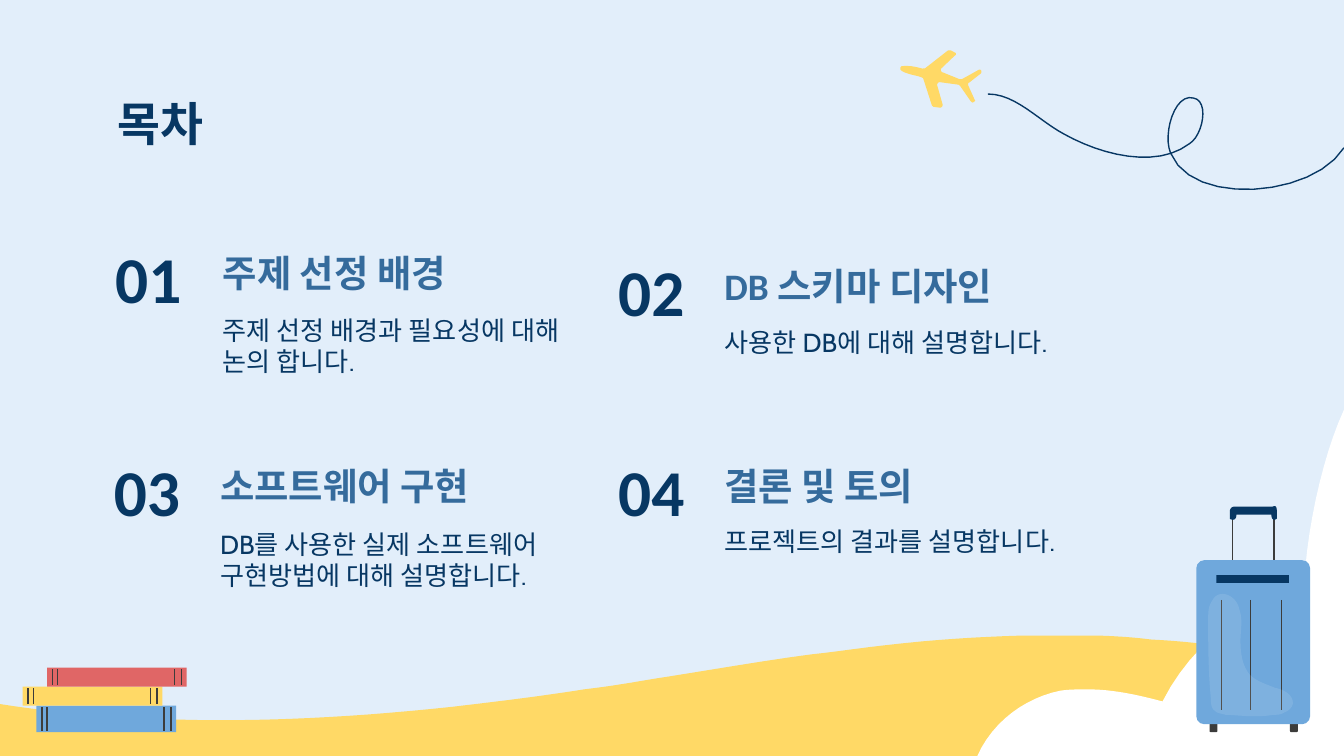
from lxml.etree import SubElement
from pptx import Presentation
from pptx.dml.color import RGBColor
from pptx.enum.shapes import MSO_CONNECTOR as Connector, MSO_SHAPE as Shape
from pptx.enum.text import MSO_ANCHOR as Anchor, MSO_AUTO_SIZE as AutoSize, PP_ALIGN as Align
from pptx.oxml.ns import qn
from pptx.util import Cm, Pt

SKY = RGBColor(0xE2, 0xEE, 0xFA)
NAVY = RGBColor(0x07, 0x37, 0x63)
STEEL = RGBColor(0x35, 0x6B, 0x9C)
BLUE = RGBColor(0x6F, 0xA8, 0xDC)
YELLOW = RGBColor(0xFF, 0xD9, 0x66)
RED = RGBColor(0xE0, 0x66, 0x66)
CHARCOAL = RGBColor(0x3C, 0x3C, 0x3B)
WHITE = RGBColor(0xFF, 0xFF, 0xFF)

INCH = 2.54
CURVE_STEPS = 12

TITLE = dict(size=Pt(25), name="Calibri", bold=True)
NUMBER = dict(size=Pt(35), name="Calibri", bold=True)
HEADING = dict(size=Pt(20), name="Calibri", bold=True)
DETAIL = dict(size=Pt(14), name="Cabin", bold=False)

TOPICS = [
    ("01", "주제 선정 배경", "주제 선정 배경과 필요성에 대해 논의 합니다.", 1.65, 3.96, 4.78, 5.69),
    ("02", "DB 스키마 디자인", "사용한 DB에 대해 설명합니다.", 11.18, 13.44, 5.03, 5.92),
    ("03", "소프트웨어 구현", "DB를 사용한 실제 소프트웨어 구현방법에 대해 설명합니다.", 1.65, 3.91, 8.81, 9.73),
    ("04", "결론 및 토의", "프로젝트의 결과를 설명합니다.", 11.18, 13.44, 8.81, 9.68),
]

BOOKS = [(0.69, 13.34, 0.5, BLUE), (0.43, 12.98, 0.36, YELLOW), (0.89, 12.62, 0.36, RED)]
SPINE_MARKS = [(0.1, 0.79), (0.2, 0.75), (2.41, 0.79), (2.54, 0.75)]

SAND = [
    (0, 5.24), (0.38, 5.3, 0.92, 5.36, 1.66, 5.36), (2.15, 5.36, 2.72, 5.33, 3.37, 5.26),
    (3.71, 5.22, 4.04, 5.18, 4.35, 5.13), (4.53, 5.11, 4.7, 5.08, 4.88, 5.05),
    (5.27, 4.99, 5.66, 4.92, 6.04, 4.87), (6.23, 4.85, 6.42, 4.82, 6.61, 4.8),
    (6.95, 4.76, 7.28, 4.74, 7.62, 4.73), (7.77, 4.73, 7.93, 4.73, 8.09, 4.73),
    (8.25, 4.73, 8.4, 4.74, 8.57, 4.76), (8.77, 4.77, 8.98, 4.79, 9.2, 4.83),
    (9.46, 4.88, 9.73, 4.94, 10, 5.01), (10, 5.63), (0, 5.63),
]
FOAM = [
    (10, 3.05), (10, 5.63), (7.27, 5.63), (7.39, 5.36, 7.64, 5.19, 7.89, 5.14),
    (7.96, 5.13, 8.03, 5.13, 8.09, 5.13), (8.28, 5.13, 8.46, 5.17, 8.65, 5.22),
    (8.88, 4.77, 9.28, 4.48, 9.7, 4.44), (9.71, 4, 9.83, 3.42, 10, 3.05),
]
GRIP = [
    (9.47, 3.77), (9.19, 3.77), (9.16, 3.77, 9.15, 3.79, 9.15, 3.81), (9.15, 3.86),
    (9.16, 3.87, 9.2, 3.88, 9.2, 3.83), (9.46, 3.83), (9.46, 3.88, 9.49, 3.87, 9.5, 3.86),
    (9.5, 3.8), (9.5, 3.77, 9.49, 3.76, 9.47, 3.77),
]
SHEEN = [
    (9.1, 4.42), (9.07, 4.42, 9.04, 4.43, 9.02, 4.47), (8.99, 4.51, 8.99, 4.56, 8.99, 4.6),
    (8.99, 4.8, 8.99, 5, 9.01, 5.2), (9.01, 5.23, 9.01, 5.27, 9.04, 5.29),
    (9.06, 5.31, 9.09, 5.31, 9.12, 5.32), (9.18, 5.32, 9.25, 5.33, 9.32, 5.33),
    (9.37, 5.33, 9.42, 5.33, 9.47, 5.32), (9.5, 5.32, 9.53, 5.32, 9.56, 5.3),
    (9.59, 5.29, 9.62, 5.26, 9.62, 5.23), (9.62, 5.17, 9.55, 5.13, 9.49, 5.12),
    (9.42, 5.09, 9.34, 5.07, 9.29, 5.01), (9.24, 4.94, 9.23, 4.85, 9.23, 4.77),
    (9.23, 4.69, 9.25, 4.61, 9.22, 4.53), (9.21, 4.47, 9.15, 4.42, 9.1, 4.42),
]
PLANE = [
    (7.07, 0.38), (6.89, 0.5), (6.87, 0.5), (6.79, 0.47, 6.75, 0.47, 6.72, 0.47),
    (6.71, 0.47, 6.7, 0.49, 6.71, 0.5), (6.74, 0.53, 6.83, 0.55, 6.85, 0.56), (6.87, 0.57),
    (6.92, 0.78), (6.93, 0.79), (6.98, 0.8), (6.99, 0.8, 7, 0.79, 7, 0.78), (6.97, 0.63),
    (6.97, 0.62, 6.98, 0.61, 6.99, 0.61), (7.13, 0.64), (7.14, 0.65), (7.21, 0.77),
    (7.22, 0.78), (7.23, 0.78, 7.25, 0.77, 7.24, 0.76), (7.2, 0.65),
    (7.2, 0.64, 7.2, 0.63, 7.21, 0.63), (7.3, 0.57), (7.31, 0.56, 7.31, 0.54, 7.29, 0.54),
    (7.16, 0.6), (7.14, 0.6), (7.02, 0.54), (7.01, 0.54, 7, 0.52, 7.01, 0.51), (7.12, 0.42),
    (7.13, 0.42, 7.13, 0.4, 7.12, 0.4), (7.09, 0.38),
]
TRAIL = [
    (7.35, 0.7), (7.56, 0.7, 7.73, 0.9, 7.92, 1), (8.19, 1.15, 8.6, 1.26, 8.85, 1.07),
    (8.95, 1.01, 9, 0.75, 8.88, 0.73), (8.74, 0.69, 8.65, 1, 8.71, 1.14),
    (8.87, 1.54, 9.77, 1.47, 10, 1.1),
]


def flatten(path):
    """Turn lines and cubic curves into a list of points."""
    points = [path[0]]
    for step in path[1:]:
        if len(step) == 2:
            points.append(step)
            continue
        corners = [points[-1], step[:2], step[2:4], step[4:]]
        for count in range(1, CURVE_STEPS + 1):
            t = count / CURVE_STEPS
            weights = ((1 - t) ** 3, 3 * t * (1 - t) ** 2, 3 * t * t * (1 - t), t ** 3)
            points.append(tuple(sum(w * c[axis] for w, c in zip(weights, corners)) for axis in (0, 1)))
    return points


def paint(shape, fill=None, line=None):
    """Give a shape a flat fill or a thin outline."""
    shape.shadow.inherit = False
    for part, color in ((shape.fill, fill), (shape.line.fill, line)):
        if color is None:
            part.background()
        else:
            part.solid()
            part.fore_color.rgb = color
    if line is not None:
        shape.line.width = Pt(0.75)
    return shape


def add_outline(shapes, path, fill=None, line=None):
    """Draw a curved outline given in inches."""
    points = [(Cm(x * INCH), Cm(y * INCH)) for x, y in flatten(path)]
    builder = shapes.build_freeform(*points[0])
    builder.add_line_segments(points[1:], close=fill is not None)
    return paint(builder.convert_to_shape(), fill, line)


def add_block(shapes, kind, box, fill=None, line=None):
    """Draw a preset shape in a box given in centimetres."""
    return paint(shapes.add_shape(kind, *map(Cm, box)), fill, line)


def add_stripe(shapes, x, top, bottom, width=0.75):
    """Draw a thin vertical line."""
    stripe = shapes.add_connector(Connector.STRAIGHT, Cm(x), Cm(top), Cm(x), Cm(bottom))
    stripe.line.color.rgb = CHARCOAL
    stripe.line.width = Pt(width)
    SubElement(stripe._element.spPr, qn("a:effectLst"))


def write(holder, box, text, look, color, anchor=Anchor.TOP, align=Align.LEFT):
    """Place and format a one-paragraph text."""
    for side, value in zip(("left", "top", "width", "height"), box):
        setattr(holder, side, Cm(value))
    frame = holder.text_frame
    margins = {f"margin_{side}": Cm(0.25) for side in ("left", "top", "right", "bottom")}
    frame_format = dict(margins, word_wrap=True, auto_size=AutoSize.NONE, vertical_anchor=anchor)
    for key, value in frame_format.items():
        setattr(frame, key, value)
    paragraph = frame.paragraphs[0]
    properties = paragraph._p.get_or_add_pPr()
    for key in ("marL", "indent"):
        properties.set(key, "0")
    SubElement(properties, qn("a:buNone"))
    paragraph.alignment = align
    paragraph.space_before = Pt(0)
    run = paragraph.add_run()
    run.text = text
    for key, value in look.items():
        setattr(run.font, key, value)
    run.font.color.rgb = color


def add_topic(slide, detail_holder, topic):
    """Write the number, heading and detail of one topic."""
    number, heading, detail, left, text_left, top, detail_top = topic
    boxes = [slide.shapes.add_textbox(0, 0, 0, 0) for _ in range(2)]
    write(boxes[0], (left, top - 0.36, text_left - left, 1.65), number, NUMBER, NAVY,
          Anchor.MIDDLE, Align.CENTER)
    write(boxes[1], (text_left, top, 7.11, 1.04), heading, HEADING, STEEL, Anchor.BOTTOM)
    write(detail_holder, (text_left, detail_top, 7.11, 1.47), detail, DETAIL, NAVY)


def add_suitcase(slide):
    """Draw the suitcase."""
    shapes = slide.shapes.add_group_shape().shapes
    for left in (22.86, 24.38):
        add_block(shapes, Shape.ROUNDED_RECTANGLE, (left, 13.59, 0.15, 0.25), CHARCOAL)
    add_block(shapes, Shape.RECTANGLE, (23.29, 9.65, 0.79, 1.27), line=CHARCOAL)
    body = add_block(shapes, Shape.ROUNDED_RECTANGLE, (22.61, 10.59, 2.15, 3.1), BLUE)
    body.adjustments[0] = 0.07
    add_outline(shapes, GRIP, NAVY)
    add_block(shapes, Shape.RECTANGLE, (22.99, 10.87, 1.37, 0.15), NAVY)
    for x in (23.08, 23.63, 24.22):
        add_stripe(shapes, x, 11.34, 13.42)
    sheen = add_outline(shapes, SHEEN, WHITE)
    tint = sheen._element.spPr.find(qn("a:solidFill"))[0]
    SubElement(tint, qn("a:alpha"), val="11000")


def add_books(slide):
    """Draw the stack of books."""
    shapes = slide.shapes.add_group_shape().shapes
    for left, top, height, color in BOOKS:
        add_block(shapes, Shape.RECTANGLE, (left, top, 2.64, height), color)
        for offset, width in SPINE_MARKS:
            add_stripe(shapes, left + offset, top + 0.03, top + height - 0.03, width)


def main():
    """Build the contents slide."""
    deck = Presentation()
    deck.slide_width, deck.slide_height = Cm(25.4), Cm(14.29)
    slide = deck.slides.add_slide(deck.slide_layouts.get_by_name("Comparison"))
    slide.background.fill.solid()
    slide.background.fill.fore_color.rgb = SKY
    title, *details = slide.placeholders
    add_outline(slide.shapes, SAND, YELLOW)
    add_outline(slide.shapes, FOAM, WHITE)
    write(title, (1.98, 1.55, 21.44, 1.52), "목차", TITLE, NAVY)
    for holder, topic in zip(details, TOPICS):
        add_topic(slide, holder, topic)
    add_suitcase(slide)
    add_books(slide)
    add_outline(slide.shapes, PLANE, YELLOW).rotation = 355.6
    add_outline(slide.shapes, TRAIL, line=NAVY)
    deck.save("out.pptx")


if __name__ == "__main__":
    main()
